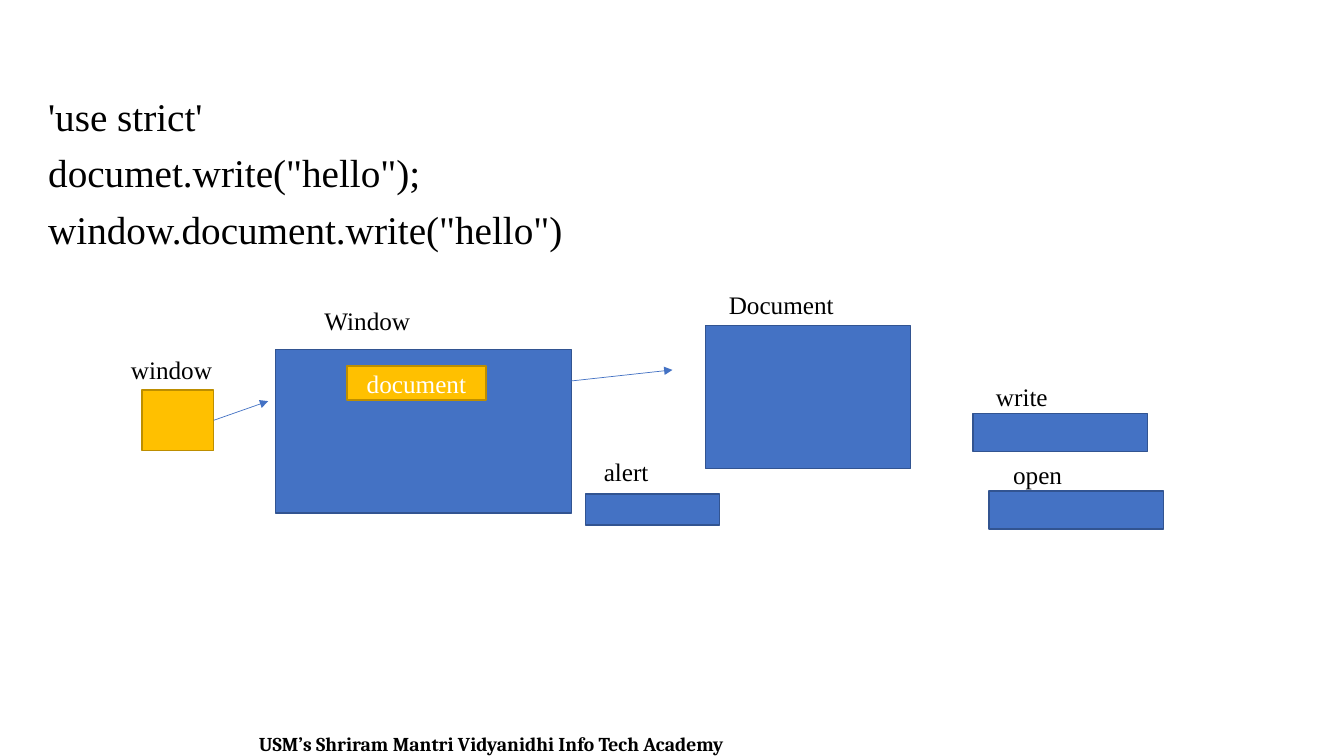
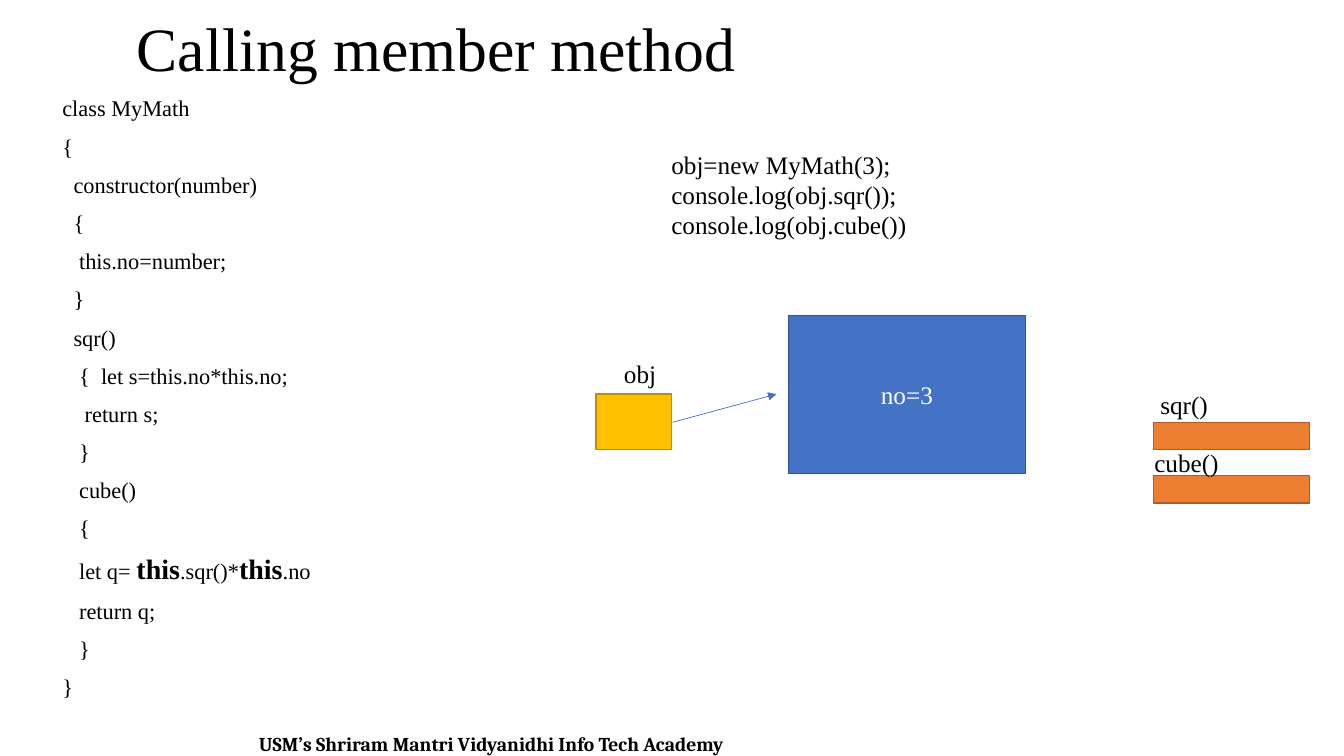
from lxml import etree
from pptx import Presentation
from pptx.dml.color import RGBColor
from pptx.enum.shapes import MSO_CONNECTOR, MSO_SHAPE
from pptx.enum.text import MSO_ANCHOR, PP_ALIGN
from pptx.oxml.ns import qn
from pptx.util import Inches, Pt

RECT = MSO_SHAPE.RECTANGLE
STRAIGHT = MSO_CONNECTOR.STRAIGHT
MIDDLE = MSO_ANCHOR.MIDDLE
CENTER = PP_ALIGN.CENTER

FONT = "Times New Roman"
BLACK, WHITE = "000000", "FFFFFF"
# Each style is a fill and its outline
BLUE = ("4472C4", "325491")
GOLD = ("FFC000", "BD8E00")
ORANGE = ("ED7D31", "AF5C24")

color = RGBColor.from_string


def write(shape, text, size=18, ink=BLACK, font=FONT, bold=False):
    """Set the text of a shape, one paragraph a line, and format its runs."""
    frame = shape.text_frame
    frame.word_wrap = True
    frame.text = text
    for para in frame.paragraphs:
        for run in para.runs:
            run.font.name = font
            run.font.size = Pt(size)
            run.font.bold = bold
            run.font.color.rgb = color(ink)
    return frame


def add_text(slide, x, y, w, h, text, **look):
    box = slide.shapes.add_textbox(Inches(x), Inches(y), Inches(w), Inches(h))
    return write(box, text, **look)


prs = Presentation()
prs.slide_width, prs.slide_height = Inches(13.33), Inches(7.5)
blank = prs.slide_layouts[6]
dom = prs.slides.add_slide(blank)
calls = prs.slides.add_slide(blank)

for slide in (dom, calls):
    foot = add_text(slide, 0.22, 7.21, 9.31, 0.34,
                    "USM’s Shriram Mantri Vidyanidhi Info Tech Academy",
                    size=14, font="Cambria", bold=True)
    foot.paragraphs[0].alignment = CENTER

# Title and code
title = add_text(calls, 1.26, 0.09, 11.05, 0.84, "Calling member method", size=44)
title.vertical_anchor = MIDDLE
title.paragraphs[0].line_spacing = 0.9

hello = add_text(dom, 0.38, 0.92, 5.94, 1.77, """'use strict'
documet.write("hello");
window.document.write("hello")""", size=28)

math = add_text(calls, 0.52, 0.92, 4.48, 5.83, """class MyMath
{
  constructor(number)
  {
   this.no=number;
  }
  sqr()
   {  let s=this.no*this.no;
    return s;
   }
   cube()
   {
   let q= 
   return q;
   }
}""", size=16)

for code in (hello, math):
    for i, para in enumerate(code.paragraphs):
        para.line_spacing = 0.9
        para.space_before = Pt(10 if i else 0)

product = math.paragraphs[12]
for part in ("this", ".sqr()*", "this", ".no"):
    run = product.add_run()
    run.text = part
    run.font.name = FONT
    run.font.bold = part == "this"
    run.font.size = Pt(20 if part == "this" else 16)
    run.font.color.rgb = color(BLACK)

add_text(calls, 6.56, 1.43, 4.18, 1.01, """obj=new MyMath(3);
console.log(obj.sqr());
console.log(obj.cube())""")

# Objects and methods
boxes = [
    (dom, 1.41, 3.87, 0.71, 0.6, GOLD, ""),
    (dom, 2.73, 3.47, 2.94, 1.62, BLUE, ""),
    (dom, 3.44, 3.63, 1.38, 0.34, GOLD, "document"),
    (dom, 7, 3.23, 2.03, 1.42, BLUE, ""),
    (dom, 9.65, 4.1, 1.73, 0.38, BLUE, ""),
    (dom, 5.81, 4.9, 1.33, 0.31, BLUE, ""),
    (dom, 9.81, 4.87, 1.73, 0.38, BLUE, ""),
    (calls, 5.91, 3.91, 0.75, 0.55, GOLD, ""),
    (calls, 7.82, 3.13, 2.35, 1.57, BLUE, "no=3"),
    (calls, 11.44, 4.19, 1.55, 0.27, ORANGE, ""),
    (calls, 11.44, 4.72, 1.55, 0.27, ORANGE, ""),
]
for slide, x, y, w, h, (fill, edge), text in boxes:
    box = slide.shapes.add_shape(RECT, Inches(x), Inches(y), Inches(w), Inches(h))
    box.shadow.inherit = False
    box.fill.solid()
    box.fill.fore_color.rgb = color(fill)
    box.line.color.rgb = color(edge)
    box.line.width = Pt(1)
    if text:
        frame = write(box, text, ink=WHITE)
        frame.vertical_anchor = MIDDLE
        frame.paragraphs[0].alignment = CENTER

labels = [
    (dom, 1.2, 3.47, "window"),
    (dom, 3.12, 2.98, "Window"),
    (dom, 7.13, 2.82, "Document"),
    (dom, 9.78, 3.73, "write"),
    (dom, 5.89, 4.48, "alert"),
    (dom, 9.95, 4.51, "open"),
    (calls, 11.41, 3.81, "sqr()"),
    (calls, 11.35, 4.39, "cube()"),
    (calls, 6.09, 3.51, "obj"),
]
for slide, x, y, text in labels:
    add_text(slide, x, y, 1.4, 0.4, text)

arrows = [
    (dom, 2.12, 4.17, 2.66, 3.98),
    (dom, 4.84, 3.87, 6.67, 3.67),
    (calls, 6.67, 4.19, 7.7, 3.91),
]
for slide, *ends in arrows:
    arrow = slide.shapes.add_connector(STRAIGHT, *map(Inches, ends))
    arrow.line.color.rgb = color(BLUE[0])
    arrow.line.width = Pt(0.5)
    props = arrow.line._get_or_add_ln()
    etree.SubElement(props, qn("a:tailEnd"), type="triangle")
    etree.SubElement(props.getparent(), qn("a:effectLst"))

prs.save("out.pptx")
